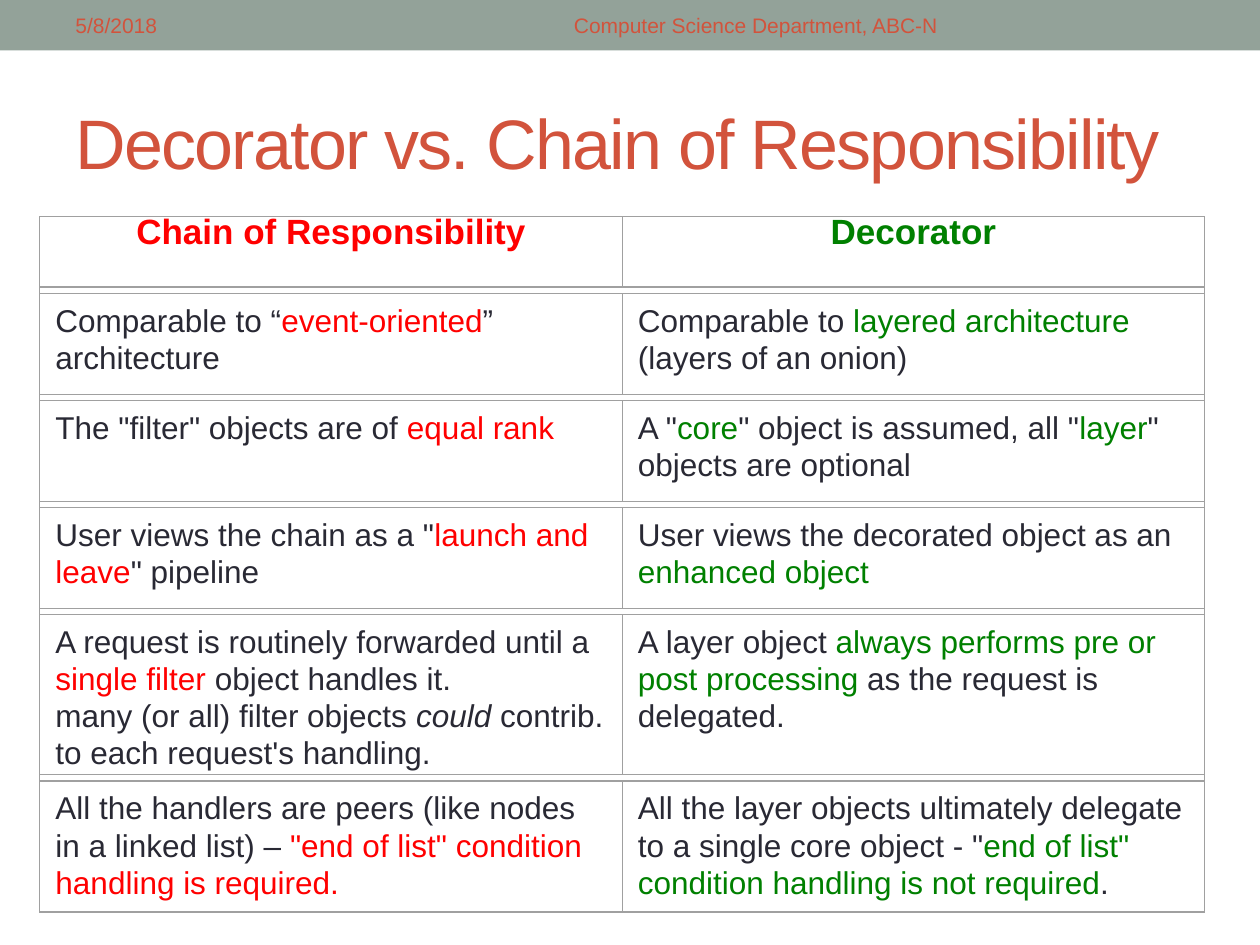
import pptx
import pptx.util
import pptx.dml.color
import pptx.enum.shapes
import pptx.enum.text

Pt = pptx.util.Pt
RGB = pptx.dml.color.RGBColor
Align = pptx.enum.text.PP_ALIGN
Anchor = pptx.enum.text.MSO_ANCHOR

FONT = "Arial"
BAND = RGB(0x93, 0xA2, 0x99)
RUST = RGB(0xD2, 0x53, 0x3C)
INK = RGB(0x29, 0x29, 0x34)
RED = RGB(0xFF, 0x00, 0x00)
GREEN = RGB(0x00, 0x80, 0x00)
GRAY = RGB(0xA0, 0xA0, 0xA0)

# Grid of the comparison
LEFT, TOP = 22.8, 123.8
COL_W, GAP = 332.8, 3.6
PAD_X, PAD_Y = 1.8, 1.8
HEAD_H = 40.3
HEADS = ["Chain of Responsibility", "Decorator"]
HUES = [RED, GREEN]

# Row height and its two cells: *accent*, _italic_, newline for a paragraph
ROWS = [
    (57.6, "Comparable to “*event-oriented*” architecture",
     "Comparable to *layered architecture* (layers of an onion)"),
    (57.6, 'The "filter" objects are of *equal rank*',
     'A "*core*" object is assumed, all "*layer*" objects are optional'),
    (57.6, 'User views the chain as a "*launch and leave*" pipeline',
     "User views the decorated object as an *enhanced object*"),
    (91.4, "A request is routinely forwarded until a *single filter *object "
     "handles it.\nmany (or all) filter objects _could _contrib. to each "
     "request's handling.",
     "A layer object *always performs pre or post processing* as the request "
     "is delegated."),
    (74.9, "All the handlers are peers (like nodes in a linked list) – "
     '*"end of list" condition handling is required.*',
     "All the layer objects ultimately delegate to a single core object - "
     '"*end of list" condition handling is not required*.'),
]


def add_runs(par, text, size, color, hue, bold, track):
    """Split one paragraph at its marks and format each run."""
    for i, part in enumerate(text.split("*")):
        for j, piece in enumerate(part.split("_")):
            if not piece:
                continue
            run = par.add_run()
            run.text = piece
            font = run.font
            font.name, font.size = FONT, Pt(size)
            font.bold, font.italic = bold, j % 2 == 1
            font.color.rgb = hue if i % 2 else color
            if track:
                run._r.get_or_add_rPr().set("spc", str(track * 100))


def add_text(shapes, text, x, y, w, h, size=18, color=INK, hue=None,
             bold=False, align=Align.LEFT, anchor=Anchor.MIDDLE,
             track=0, foot=3.6, lead=1.0):
    box = shapes.add_textbox(Pt(x), Pt(y), Pt(w), Pt(h))
    frame = box.text_frame
    frame.word_wrap = True
    frame.vertical_anchor = anchor
    frame.margin_bottom = Pt(foot)
    for i, line in enumerate(text.split("\n")):
        par = frame.add_paragraph() if i else frame.paragraphs[0]
        par.alignment, par.line_spacing = align, lead
        add_runs(par, line, size, color, hue, bold, track)


def add_rect(shapes, x, y, w, h, fill=None, line=None, width=0):
    rect = shapes.add_shape(pptx.enum.shapes.MSO_SHAPE.RECTANGLE,
                            Pt(x), Pt(y), Pt(w), Pt(h))
    rect.shadow.inherit = False
    if fill is None:
        rect.fill.background()
    else:
        rect.fill.solid()
        rect.fill.fore_color.rgb = fill
    if line is None:
        rect.line.fill.background()
    else:
        rect.line.color.rgb = line
        rect.line.width = Pt(width)


def add_cell(shapes, text, x, y, h, **style):
    add_text(shapes, text, x + PAD_X, y + PAD_Y,
             COL_W - 2 * PAD_X, h - 2 * PAD_Y, **style)
    add_rect(shapes, x, y, COL_W, h, line=GRAY)


def add_grid(slide):
    shapes = slide.shapes.add_group_shape().shapes
    cols = [LEFT, LEFT + COL_W]

    # Header cells: the deep foot lifts the text to the top edge
    for x, head, hue in zip(cols, HEADS, HUES):
        add_cell(shapes, head, x, TOP, HEAD_H, size=20, color=hue,
                 bold=True, align=Align.CENTER, foot=28)

    # Body cells: slightly tight lines keep the longest cell in its frame
    y = TOP + HEAD_H + GAP
    for h, *cells in ROWS:
        for x, text, hue in zip(cols, cells, HUES):
            add_cell(shapes, text, x, y, h, hue=hue,
                     anchor=Anchor.TOP, lead=0.98)
        y += h + GAP

    # Outer frame
    add_rect(shapes, LEFT, TOP, 2 * COL_W, y - GAP - TOP,
             line=GRAY, width=0.5)


def main():
    deck = pptx.Presentation()
    deck.slide_width, deck.slide_height = Pt(720), Pt(540)
    slide = deck.slides.add_slide(deck.slide_layouts[6])
    shapes = slide.shapes

    # Top band with date and footer
    add_rect(shapes, 0, 0, 720, 28.8, fill=BAND)
    add_text(shapes, "5/8/2018", 36, 1.4, 228, 26, size=12, color=RUST)
    add_text(shapes, "Computer Science Department, ABC-N", 270, 1.4, 324, 26,
             size=12, color=RUST, align=Align.CENTER)

    # Title
    add_text(shapes, "Decorator vs. Chain of Responsibility",
             36, 42, 648, 78, size=40, color=RUST, track=-1)

    add_grid(slide)
    deck.save("out.pptx")


if __name__ == "__main__":
    main()
